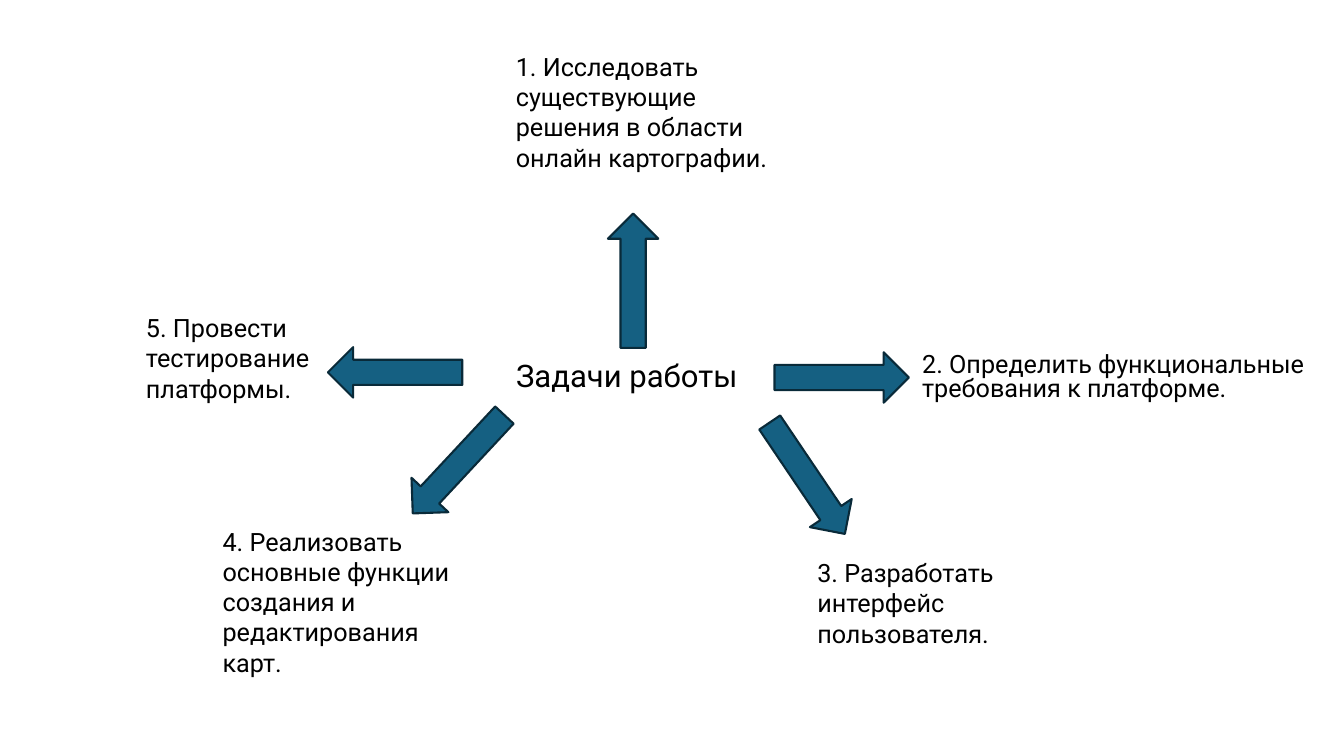
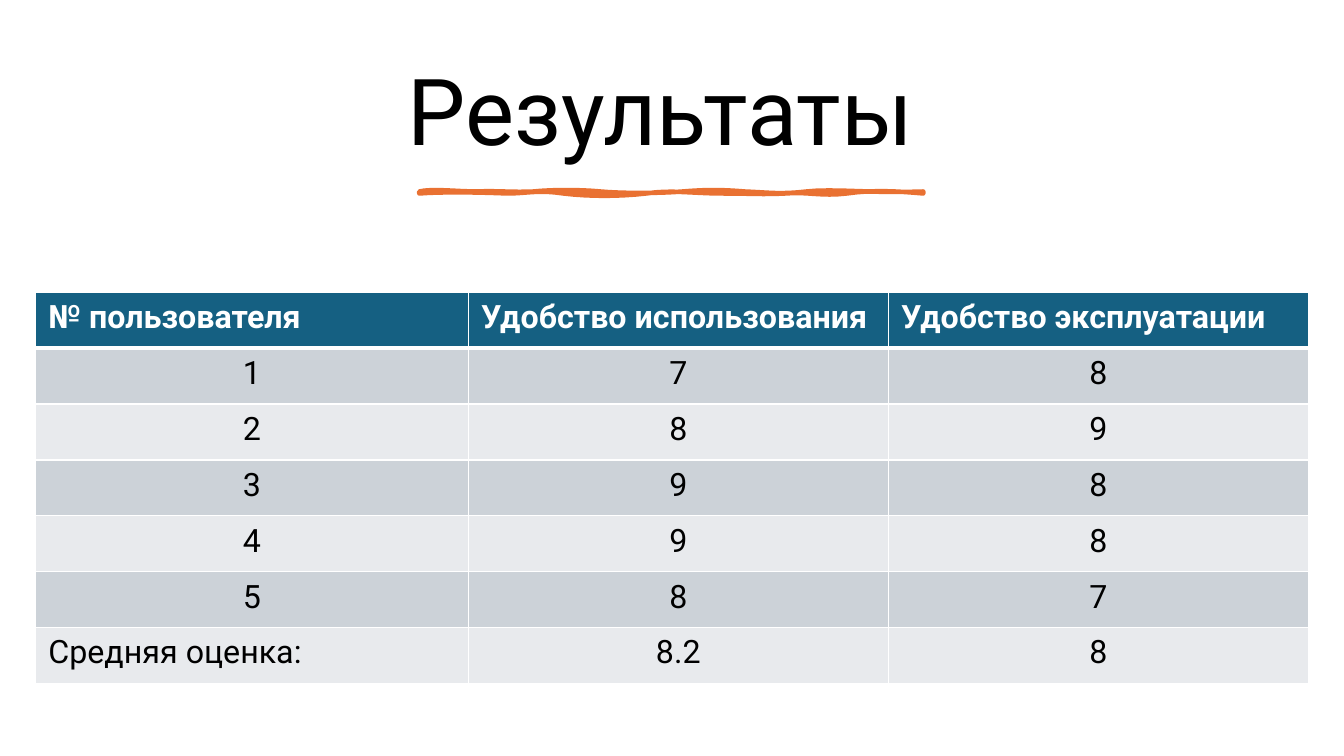
from lxml import etree
from pptx import Presentation
from pptx.dml.color import RGBColor
from pptx.enum.shapes import MSO_SHAPE
from pptx.enum.text import MSO_ANCHOR, MSO_AUTO_SIZE, PP_ALIGN
from pptx.oxml.ns import qn
from pptx.util import Pt

DOWN_ARROW = MSO_SHAPE.DOWN_ARROW
TOP, MIDDLE, BOTTOM = MSO_ANCHOR.TOP, MSO_ANCHOR.MIDDLE, MSO_ANCHOR.BOTTOM
LEFT, CENTER = PP_ALIGN.LEFT, PP_ALIGN.CENTER
NO_AUTOFIT = MSO_AUTO_SIZE.NONE

COLORS = {
    "text": "000000",
    "white": "FFFFFF",
    "accent": "156082",
    "arrow_line": "092A39",
    "underline": "E97132",
    "row_dark": "CCD2D8",
    "row_light": "E8EAED",
}
FONT = "Roboto"
TITLE_ONLY = 5
ARROW_WIDTH, ARROW_LENGTH = 36, 96

TASKS = [
    ("1. Исследовать существующие решения в области онлайн картографии.",
     (361.4, 33.1, 216, 94.3), 1, (452.2, 200.5), 180),
    ("2. Определить функциональные требования к платформе.",
     (651.6, 249.1, 287.3, 43.2), 0.8, (601.2, 269.6), 270),
    ("3. Разработать интерфейс пользователя.",
     (576.7, 394.6, 144.7, 72.7), 1, (576.7, 341.6), 326),
    ("4. Реализовать основные функции создания и редактирования карт.",
     (151.9, 372.2, 176.4, 116.6), 1, (327.6, 331.6), 43),
    ("5. Провести тестирование платформы.",
     (97.2, 219.6, 133.9, 72.7), 1, (282.2, 266), 90),
]

RATINGS = [
    ("№ пользователя", "Удобство использования", "Удобство эксплуатации"),
    ("1", "7", "8"),
    ("2", "8", "9"),
    ("3", "9", "8"),
    ("4", "9", "8"),
    ("5", "8", "7"),
    ("Средняя оценка:", "8.2", "8"),
]

UPPER_EDGE = [
    ((8.6, -2.2), (27.4, 0), (41, 0)),
    ((54.7, -0.7), (67, 0.7), (81.4, 0)),
    ((95.8, -1.4), (113.8, -1.4), (129.6, 0)),
    ((144.7, 1.4), (170.6, 1.4), (187.9, 0)),
    ((205.9, -1.4), (214.6, -1.4), (232.6, 0)),
    ((249.8, 0.7), (257.8, 2.2), (276.5, 0)),
    ((295.2, -2.2), (324.7, 1.4), (360, 0)),
]
LOWER_EDGE = [
    ((344.9, 0), (323.3, -1.4), (305.3, 1.4)),
    ((287.3, 3.6), (277.2, 0), (261.4, 1.4)),
    ((244.8, 2.2), (238.3, 1.4), (216.7, 1.4)),
    ((195.1, 1.4), (180.7, -1.4), (162, 1.4)),
    ((142.6, 3.6), (121.7, 3.6), (103, 1.4)),
    ((85, -1.4), (77, 1.4), (62.6, 1.4)),
    ((48.2, 0.7), (15.8, 0), (0, 1.4)),
]


def rgb(name):
    return RGBColor.from_string(COLORS[name])


def points(values):
    return [Pt(value) for value in values]


def style_paragraph(paragraph, size, color="text", bold=False, align=LEFT):
    paragraph.alignment = align
    paragraph.font.name = FONT
    paragraph.font.size = Pt(size)
    paragraph.font.bold = bold
    paragraph.font.color.rgb = rgb(color)


def fill_text(shape, text, size, spacing=1, anchor=TOP, align=LEFT):
    frame = shape.text_frame
    frame.text = text
    frame.word_wrap = True
    frame.auto_size = NO_AUTOFIT
    frame.vertical_anchor = anchor
    paragraph = frame.paragraphs[0]
    paragraph.line_spacing = spacing
    paragraph.space_before = Pt(0)
    paragraph.space_after = Pt(6)
    style_paragraph(paragraph, size, align=align)


def place_title(slide, box, text, size, spacing, anchor, align):
    title = slide.shapes.title
    title.left, title.top, title.width, title.height = points(box)
    fill_text(title, text, size, spacing, anchor, align)


def add_task(slide, text, box, spacing):
    task = slide.shapes.add_textbox(*points(box))
    fill_text(task, text, 18, spacing)


def add_task_arrow(slide, center, rotation):
    x, y = center
    arrow = slide.shapes.add_shape(
        DOWN_ARROW,
        *points((x - ARROW_WIDTH / 2, y - ARROW_LENGTH / 2, ARROW_WIDTH, ARROW_LENGTH)))
    arrow.rotation = rotation
    arrow.shadow.inherit = False
    arrow.fill.solid()
    arrow.fill.fore_color.rgb = rgb("accent")
    arrow.line.color.rgb = rgb("arrow_line")
    arrow.line.width = Pt(1.5)


def trace_curves(start, curves, steps=8):
    vertices = []
    for first, second, end in curves:
        for step in range(1, steps + 1):
            t = step / steps
            vertices.append(tuple(
                (1 - t) ** 3 * a + 3 * (1 - t) ** 2 * t * b + 3 * (1 - t) * t ** 2 * c + t ** 3 * d
                for a, b, c, d in zip(start, first, second, end)))
        start = end
    return vertices


def add_brush_underline(slide, left, top):
    corner = (360, 1.4)
    outline = trace_curves((0, 0), UPPER_EDGE) + [corner] + trace_curves(corner, LOWER_EDGE)
    builder = slide.shapes.build_freeform(Pt(left), Pt(top))
    builder.add_line_segments([(Pt(left + x), Pt(top + y)) for x, y in outline], close=True)
    underline = builder.convert_to_shape()
    underline.shadow.inherit = False
    underline.fill.solid()
    underline.fill.fore_color.rgb = rgb("underline")
    underline.line.color.rgb = rgb("underline")
    underline.line.width = Pt(3.25)


def set_borders(cell, widths):
    properties = cell._tc.get_or_add_tcPr()
    for side, width in widths.items():
        border = etree.SubElement(properties, qn(f"a:ln{side}"), w=str(Pt(width)))
        fill = etree.SubElement(border, qn("a:solidFill"))
        etree.SubElement(fill, qn("a:srgbClr"), val=COLORS["white"])


def style_rating_cell(cell, text, row, column):
    header = row == 0
    set_borders(cell, {"L": 1, "R": 1, "T": 3 if row == 1 else 1, "B": 3 if header else 1})
    cell.fill.solid()
    cell.fill.fore_color.rgb = rgb("accent" if header else "row_dark" if row % 2 else "row_light")
    cell.margin_left = cell.margin_right = Pt(9.2)
    cell.margin_top = cell.margin_bottom = Pt(4.6)
    cell.text = text
    label = header or (column == 0 and row == len(RATINGS) - 1)
    style_paragraph(cell.text_frame.paragraphs[0], 23,
                    "white" if header else "text", header, LEFT if label else CENTER)


def add_ratings_table(slide, box):
    table = slide.shapes.add_table(len(RATINGS), len(RATINGS[0]), *points(box)).table
    for column, share in zip(table.columns, (0.34, 0.33, 0.33)):
        column.width = Pt(box[2] * share)
    for row, values in enumerate(RATINGS):
        table.rows[row].height = Pt(box[3] / len(RATINGS))
        for column, text in enumerate(values):
            style_rating_cell(table.cell(row, column), text, row, column)


def build_tasks_slide(deck):
    slide = deck.slides.add_slide(deck.slide_layouts[TITLE_ONLY])
    place_title(slide, (361.4, 255.6, 181.4, 28.8), "Задачи работы", 22.2, 0.7, BOTTOM, LEFT)
    for text, box, spacing, arrow_center, rotation in TASKS:
        add_task(slide, text, box, spacing)
        add_task_arrow(slide, arrow_center, rotation)


def build_results_slide(deck):
    slide = deck.slides.add_slide(deck.slide_layouts[TITLE_ONLY])
    place_title(slide, (50.4, 33.1, 859, 98.6), "Результаты ", 66, 0.9, MIDDLE, CENTER)
    add_brush_underline(slide, 299.5, 136.8)
    add_ratings_table(slide, (25.4, 208.8, 909.2, 279.4))


def main():
    deck = Presentation()
    deck.slide_width, deck.slide_height = Pt(960), Pt(540)
    build_tasks_slide(deck)
    build_results_slide(deck)
    deck.save("out.pptx")


if __name__ == "__main__":
    main()
